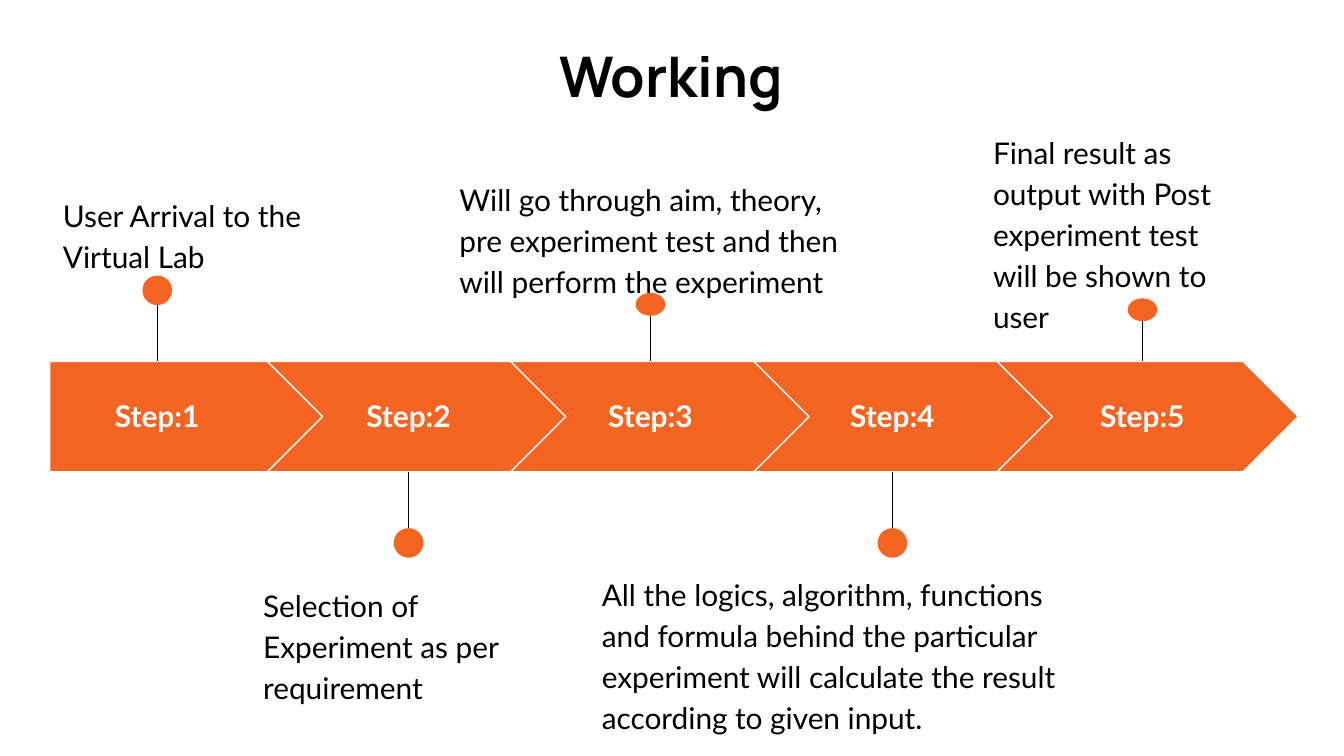
from pptx import Presentation
from pptx.dml.color import RGBColor
from pptx.enum.shapes import MSO_CONNECTOR, MSO_SHAPE as Shape
from pptx.enum.text import MSO_ANCHOR as Anchor, PP_ALIGN as Align
from pptx.oxml.ns import qn
from pptx.util import Inches, Pt
from lxml import etree

ORANGE, WHITE, BLACK = "F46524", "FFFFFF", "000000"

# Arrow band: first left edge, pitch between arrows, top and height
BAND_LEFT, PITCH, BAND_TOP, BAND_HEIGHT = 0.18, 1.81, 2.69, 0.82
FIRST_LEFT = 0.37
DOT_WIDTH = 0.22

# Pin x, dot top, dot height, note box (left, top, width, height), note text
STEPS = [
    (1.17, 2.05, 0.22, (0.37, 1.33, 2.05, 0.99),
     "User Arrival to the Virtual Lab"),
    (3.04, 3.93, 0.22, (1.86, 4.23, 2.45, 0.99),
     "Selection of Experiment as per requirement"),
    (4.84, 2.18, 0.17, (3.32, 1.21, 3.21, 1.26),
     "Will go through aim, theory, pre experiment test and then "
     "will perform the experiment"),
    (6.64, 3.93, 0.22, (4.38, 4.15, 3.68, 1.26),
     "All the logics, algorithm, functions and formula behind the particular "
     "experiment will calculate the result according to given input."),
    (8.5, 2.22, 0.17, (7.29, 0.86, 2.08, 0.99),
     "Final result as output with Post experiment test will be shown to user"),
]


def color(value):
    return RGBColor.from_string(value)


def add_text(page, box, text, size=16, font="Lato", fill=BLACK, bold=False,
             align=Align.LEFT, anchor=Anchor.TOP, spacing=None):
    frame = page.shapes.add_textbox(*map(Inches, box)).text_frame
    frame.word_wrap = True
    frame.vertical_anchor = anchor
    frame.margin_left = frame.margin_right = Inches(0.1)
    frame.margin_top = frame.margin_bottom = Inches(0.1)
    frame.text = text
    para = frame.paragraphs[0]
    para.alignment = align
    if spacing:
        para.line_spacing = spacing
    span = para.runs[0]
    span.font.name, span.font.size, span.font.bold = font, Pt(size), bold
    span.font.color.rgb = color(fill)


def add_filled(page, kind, box):
    shape = page.shapes.add_shape(kind, *map(Inches, box))
    shape.shadow.inherit = False
    shape.fill.solid()
    shape.fill.fore_color.rgb = color(ORANGE)
    shape.line.fill.background()
    return shape


def add_arrow(page, kind, box):
    arrow = add_filled(page, kind, box)
    arrow.adjustments[0] = 0.5
    arrow.line.color.rgb = color(WHITE)
    arrow.line.width = Pt(0.75)


def add_pin(page, x, dot_top, dot_height):
    """Line from the band edge to a dot above or below it."""
    above = dot_top < BAND_TOP
    edge = BAND_TOP if above else BAND_TOP + BAND_HEIGHT
    line = page.shapes.add_connector(
        MSO_CONNECTOR.STRAIGHT, Inches(x), Inches(dot_top + dot_height / 2),
        Inches(x), Inches(edge))
    line.line.color.rgb = color(BLACK)
    line.line.width = Pt(0.75)
    etree.SubElement(line._element.spPr, qn("a:effectLst"))
    add_filled(page, Shape.OVAL,
               (x - DOT_WIDTH / 2, dot_top, DOT_WIDTH, dot_height))


def add_step(page, index, pin_x, dot_top, dot_height, note_box, note):
    # Arrow: the first has a flat back, the rest are chevrons
    if index == 0:
        add_arrow(page, Shape.PENTAGON,
                  (FIRST_LEFT, BAND_TOP, 2.05, BAND_HEIGHT))
    else:
        left = BAND_LEFT + index * PITCH
        add_arrow(page, Shape.CHEVRON, (left, BAND_TOP, 2.24, BAND_HEIGHT))

    # Label centred on the pin
    add_text(page, (pin_x - 0.72, 2.84, 1.44, 0.51), f"Step:{index + 1}",
             fill=WHITE, bold=True, align=Align.CENTER, anchor=Anchor.MIDDLE)

    # Pin and note
    add_pin(page, pin_x, dot_top, dot_height)
    add_text(page, note_box, note, spacing=1.15)


def build_working_slide(deck):
    page = deck.slides.add_slide(deck.slide_layouts[6])
    for index, step in enumerate(STEPS):
        add_step(page, index, *step)
    add_text(page, (1.54, 0.21, 6.91, 0.69), "Working", size=30,
             font="Manrope", bold=True, align=Align.CENTER)


def main():
    deck = Presentation()
    # Widescreen, 16:9
    deck.slide_width, deck.slide_height = Inches(10), Inches(10 * 9 / 16)
    build_working_slide(deck)
    deck.save("out.pptx")


if __name__ == "__main__":
    main()
